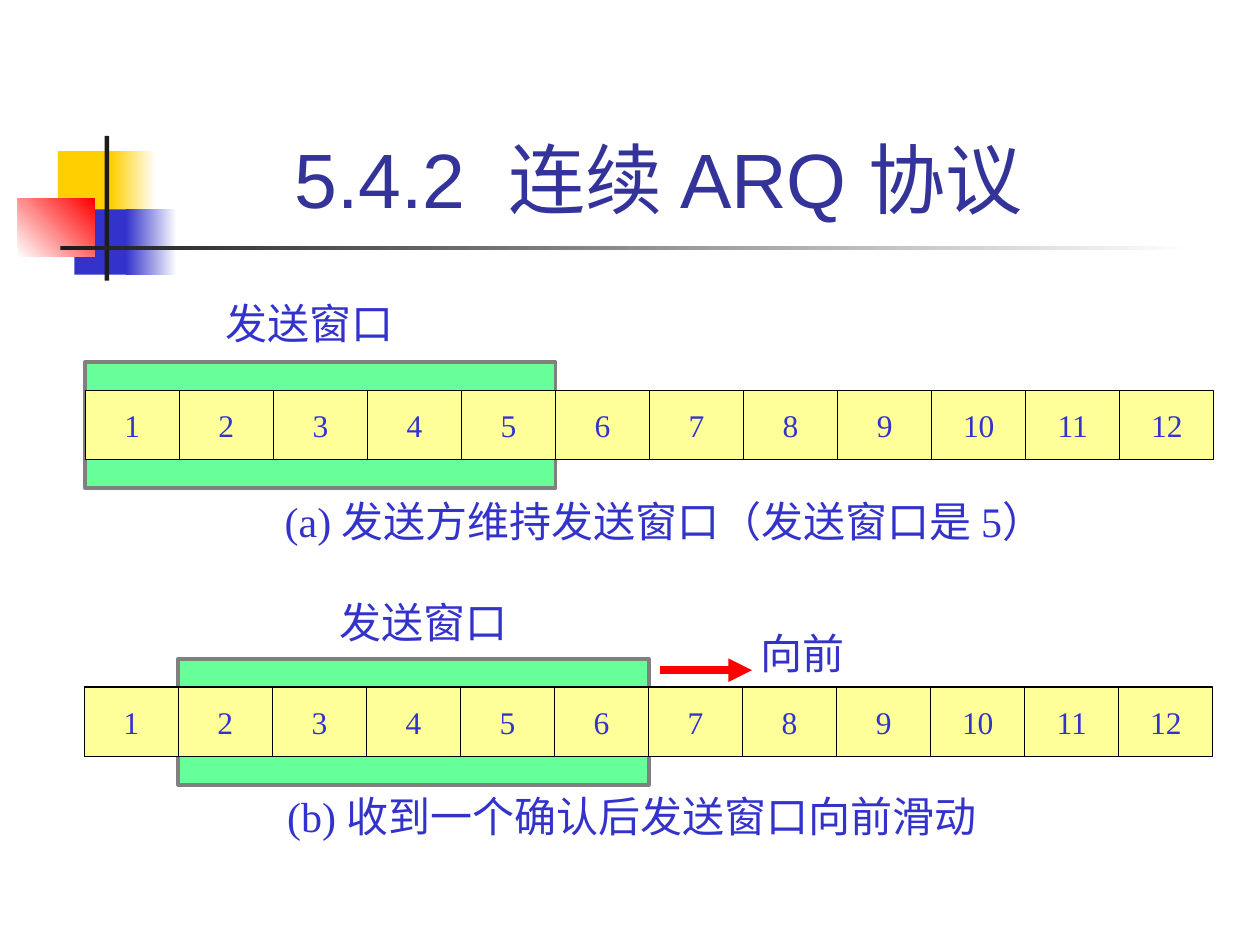
from pptx import Presentation
from pptx import util as u
from pptx.dml.color import RGBColor
from pptx.enum import shapes, text
from pptx.oxml.ns import qn
from lxml import etree

BLUE = RGBColor(0x33, 0x33, 0xCC)
NAVY = RGBColor(0x33, 0x33, 0x99)
GOLD = RGBColor(0xFF, 0xCF, 0x01)
RED = RGBColor(0xFF, 0x00, 0x00)
GREEN = RGBColor(0x66, 0xFF, 0x99)
YELLOW = RGBColor(0xFF, 0xFF, 0x99)
GREY = RGBColor(0x80, 0x80, 0x80)
DARK = RGBColor(0x1C, 0x1C, 0x1C)
BLACK = RGBColor(0, 0, 0)
WHITE = RGBColor(0xFF, 0xFF, 0xFF)

CELLS, WINDOW = 12, 5
ROW_W, ROW_H = 22.75, 1.4
CELL_W = ROW_W / CELLS
MARGIN = 0.57  # window height beyond the row, above and below


def write(tf, content, size=24, font="Times New Roman", color=BLUE,
          align=text.PP_ALIGN.LEFT, anchor=text.MSO_ANCHOR.TOP, wrap=False):
    tf.word_wrap = wrap
    tf.auto_size = text.MSO_AUTO_SIZE.NONE
    tf.vertical_anchor = anchor
    p = tf.paragraphs[0]
    p.alignment = align
    r = p.add_run()
    r.text = content
    r.font.size = u.Pt(size)
    r.font.name = font
    r.font.color.rgb = color


def add_text(s, content, x, y, w, h=1.27, **fmt):
    sp = s.shapes.add_textbox(u.Cm(x), u.Cm(y), u.Cm(w), u.Cm(h))
    write(sp.text_frame, content, **fmt)


def add_rect(s, x, y, w, h, fill, fade_to=None, angle=0, line=None, width=0.75):
    sp = s.shapes.add_shape(shapes.MSO_SHAPE.RECTANGLE,
                            u.Cm(x), u.Cm(y), u.Cm(w), u.Cm(h))
    sp.shadow.inherit = False
    if fade_to is None:
        sp.fill.solid()
        sp.fill.fore_color.rgb = fill
    else:
        sp.fill.gradient()
        sp.fill.gradient_angle = angle
        for stop, color, pos in zip(sp.fill.gradient_stops, (fill, fade_to), (0, 1)):
            stop.color.rgb = color
            stop.position = pos
    if line is None:
        sp.line.fill.background()
    else:
        sp.line.color.rgb = line
        sp.line.width = u.Pt(width)


def add_line(s, x1, y1, x2, y2, color=BLACK, width=0.75, arrow=False):
    c = s.shapes.add_connector(shapes.MSO_CONNECTOR.STRAIGHT,
                               u.Cm(x1), u.Cm(y1), u.Cm(x2), u.Cm(y2))
    c.line.color.rgb = color
    c.line.width = u.Pt(width)
    if arrow:
        etree.SubElement(c.line._get_or_add_ln(), qn("a:tailEnd"), type="triangle")
    etree.SubElement(c._element.spPr, qn("a:effectLst"))


def add_ornament(s):
    add_rect(s, 1.17, 3.05, 1.22, 1.32, GOLD)
    add_rect(s, 2.24, 3.05, 0.91, 1.32, GOLD, fade_to=WHITE)
    add_rect(s, 1.5, 4.22, 1.17, 1.32, BLUE)
    add_rect(s, 2.54, 4.22, 1.02, 1.32, BLUE, fade_to=WHITE)
    add_rect(s, 0.36, 4.01, 1.55, 1.17, WHITE, fade_to=RED, angle=45)
    add_rect(s, 2.11, 2.74, 0.09, 2.92, DARK)
    add_rect(s, 1.22, 4.95, 22.86, 0.09, DARK, fade_to=WHITE)


def add_frames(s, x, y, first):
    """Numbered frames with the sending window starting at index first."""
    add_rect(s, x + first * CELL_W, y - MARGIN, WINDOW * CELL_W,
             ROW_H + 2 * MARGIN, GREEN, line=GREY, width=2.25)
    add_rect(s, x, y, ROW_W, ROW_H, YELLOW, line=BLACK)
    for i in range(CELLS):
        left = x + i * CELL_W
        add_text(s, str(i + 1), left, y, CELL_W, ROW_H, size=18,
                 align=text.PP_ALIGN.CENTER, anchor=text.MSO_ANCHOR.MIDDLE)
        if i:
            add_line(s, left, y, left, y + ROW_H)


def main():
    prs = Presentation()
    prs.slide_width, prs.slide_height = u.Cm(25.4), u.Cm(19.05)
    s = prs.slides.add_slide(prs.slide_layouts[5])

    # Title and ornament
    add_ornament(s)
    title = s.shapes.title
    title.left, title.top = u.Cm(3.2), u.Cm(0.58)
    title.width, title.height = u.Cm(20.5), u.Cm(4.06)
    write(title.text_frame, "5.4.2  连续 ARQ 协议 ", size=44, font="Arial", color=NAVY,
          align=text.PP_ALIGN.CENTER, anchor=text.MSO_ANCHOR.BOTTOM, wrap=True)

    # (a) Window at its first position
    add_frames(s, 1.72, 7.87, first=0)
    add_text(s, "发送窗口", 4.29, 5.87, 3.89)
    add_text(s, "(a) 发送方维持发送窗口（发送窗口是 5）", 5.49, 9.86, 15.85, wrap=True)

    # (b) Window moved forward by one frame
    add_frames(s, 1.7, 13.85, first=1)
    add_text(s, "发送窗口", 6.6, 11.91, 3.89)
    add_text(s, "(b) 收到一个确认后发送窗口向前滑动", 5.54, 15.82, 14.4, wrap=True)
    add_line(s, 13.31, 13.51, 15.16, 13.51, color=RED, width=4.5, arrow=True)
    add_text(s, "向前", 15.09, 12.52, 2.21)

    prs.save("out.pptx")


main()
